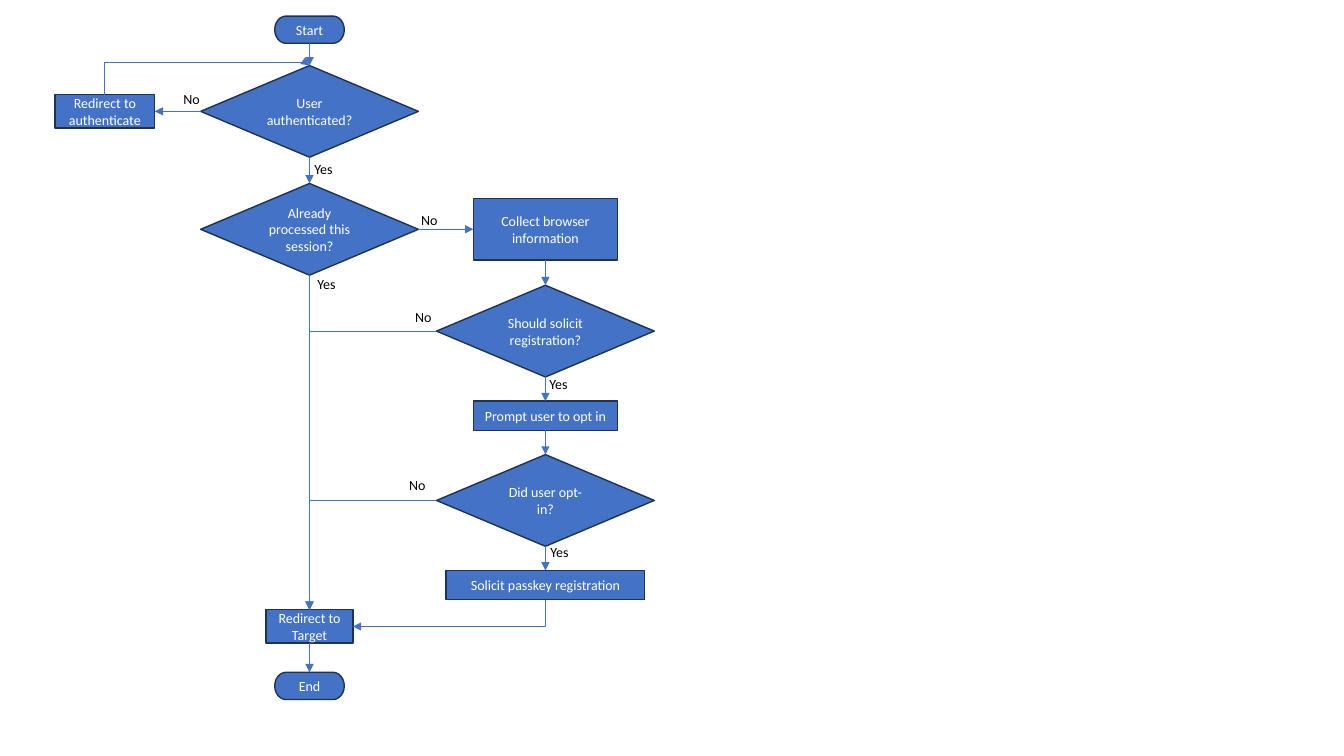
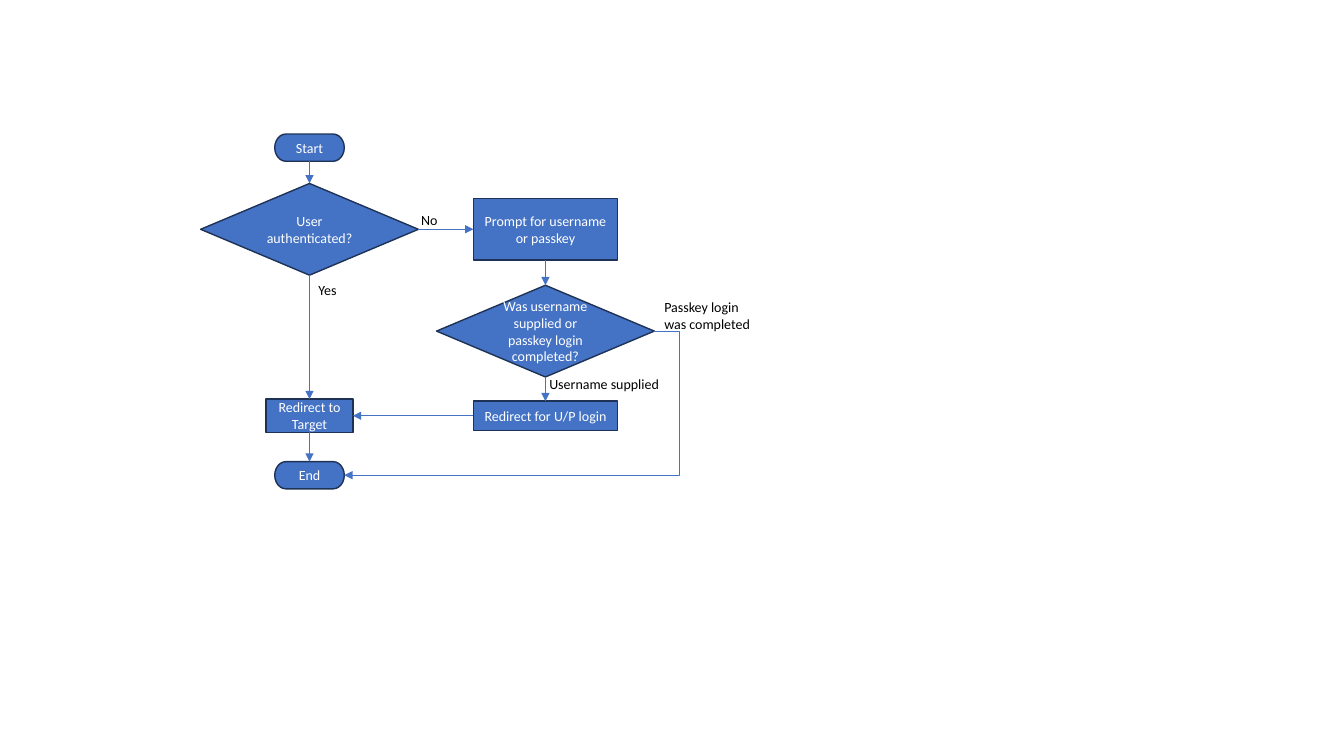
"""Build two flowcharts of passkey registration and passkey login."""
from lxml.etree import SubElement
from pptx import Presentation
from pptx.dml.color import RGBColor
from pptx.enum.shapes import MSO_CONNECTOR, MSO_SHAPE
from pptx.enum.text import MSO_ANCHOR, MSO_AUTO_SIZE, PP_ALIGN
from pptx.oxml.ns import qn
from pptx.util import Inches, Pt

BLUE = RGBColor(0x44, 0x72, 0xC4)
NAVY = RGBColor(0x1E, 0x32, 0x56)
WHITE = RGBColor(0xFF, 0xFF, 0xFF)
BLACK = RGBColor(0x00, 0x00, 0x00)
FONT = "Calibri"

TOP, LEFT, BOTTOM, RIGHT = range(4)
SIDE, MAIN, BRANCH = 1.04, 3.07, 5.41
KINDS = {
    "pill": (MSO_SHAPE.FLOWCHART_TERMINATOR, 0.69, 0.27),
    "test": (MSO_SHAPE.DIAMOND, 2.16, 0.91),
    "login": (MSO_SHAPE.RECTANGLE, 0.99, 0.33),
    "target": (MSO_SHAPE.RECTANGLE, 0.86, 0.33),
    "tall": (MSO_SHAPE.RECTANGLE, 1.43, 0.61),
    "step": (MSO_SHAPE.RECTANGLE, 1.43, 0.29),
    "wide": (MSO_SHAPE.RECTANGLE, 1.97, 0.29),
}

CHARTS = [
    {
        "nodes": {
            "start": ("pill", "Start", MAIN, 0.16),
            "auth": ("test", "User authenticated?", MAIN, 0.65),
            "login": ("login", "Redirect to authenticate", SIDE, 0.94),
            "done": ("test", "Already processed this session?", MAIN, 1.82),
            "collect": ("tall", "Collect browser information", BRANCH, 1.97),
            "should": ("test", "Should solicit registration?", BRANCH, 2.83),
            "prompt": ("step", "Prompt user to opt in", BRANCH, 3.98),
            "opted": ("test", "Did user opt-in?", BRANCH, 4.51),
            "solicit": ("wide", "Solicit passkey registration", BRANCH, 5.66),
            "target": ("target", "Redirect to Target", MAIN, 6.05),
            "end": ("pill", "End", MAIN, 6.67),
        },
        "links": [
            ("start", BOTTOM, "auth", TOP),
            ("auth", LEFT, "login", RIGHT),
            ("login", TOP, "auth", TOP, 1.12),
            ("auth", BOTTOM, "done", TOP),
            ("done", BOTTOM, "target", TOP),
            ("done", RIGHT, "collect", LEFT),
            ("collect", BOTTOM, "should", TOP),
            ("should", LEFT, "target", TOP),
            ("should", BOTTOM, "prompt", TOP),
            ("prompt", BOTTOM, "opted", TOP),
            ("opted", LEFT, "target", TOP),
            ("opted", BOTTOM, "solicit", TOP),
            ("solicit", BOTTOM, "target", RIGHT),
            ("target", BOTTOM, "end", TOP),
        ],
        "labels": [
            ("No", 1.72, 0.85, 0.37),
            ("Yes", 3.02, 1.54, 0.39),
            ("Yes", 3.05, 2.68, 0.39),
            ("No", 4.08, 2.05, 0.37),
            ("No", 4.02, 3.01, 0.37),
            ("Yes", 5.35, 3.68, 0.39),
            ("No", 3.96, 4.68, 0.37),
            ("Yes", 5.36, 5.34, 0.39),
        ],
    },
    {
        "nodes": {
            "start": ("pill", "Start", MAIN, 1.33),
            "auth": ("test", "User authenticated?", MAIN, 1.82),
            "prompt": ("tall", "Prompt for username or passkey", BRANCH, 1.97),
            "given": ("test", "Was username supplied or passkey login completed?",
                      BRANCH, 2.83),
            "login": ("step", "Redirect for U/P login", BRANCH, 3.98),
            "target": ("target", "Redirect to Target", MAIN, 3.96),
            "end": ("pill", "End", MAIN, 4.58),
        },
        "links": [
            ("start", BOTTOM, "auth", TOP),
            ("auth", BOTTOM, "target", TOP),
            ("auth", RIGHT, "prompt", LEFT),
            ("prompt", BOTTOM, "given", TOP),
            ("given", RIGHT, "end", RIGHT, -0.08),
            ("given", BOTTOM, "login", TOP),
            ("login", LEFT, "target", RIGHT),
            ("target", BOTTOM, "end", TOP),
        ],
        "labels": [
            ("Yes", 3.06, 2.74, 0.39),
            ("No", 4.08, 2.05, 0.37),
            ("Passkey login was completed", 6.49, 2.91, 1.11, 0.44, True),
            ("Username supplied", 5.35, 3.68, 1.3),
        ],
    },
]


def write(shape, text, color=BLACK, align=PP_ALIGN.LEFT, anchor=MSO_ANCHOR.TOP,
          wrap=True, size=10):
    frame = shape.text_frame
    frame.word_wrap = wrap
    frame.vertical_anchor = anchor
    par = frame.paragraphs[0]
    par.text = text
    par.alignment = align
    par.font.name = FONT
    par.font.size = Pt(size)
    par.font.color.rgb = color


def add_node(slide, kind, text, center, top):
    preset, width, height = KINDS[kind]
    node = slide.shapes.add_shape(preset, Inches(center - width / 2), Inches(top),
                                  Inches(width), Inches(height))
    node.shadow.inherit = False
    node.fill.solid()
    node.fill.fore_color.rgb = BLUE
    node.line.color.rgb = NAVY
    node.line.width = Pt(1)
    write(node, text, color=WHITE, align=PP_ALIGN.CENTER, anchor=MSO_ANCHOR.MIDDLE)
    return node


def add_label(slide, text, left, top, width, height=0.27, wrap=False):
    box = slide.shapes.add_textbox(Inches(left), Inches(top), Inches(width), Inches(height))
    write(box, text, wrap=wrap)
    box.text_frame.auto_size = MSO_AUTO_SIZE.SHAPE_TO_FIT_TEXT


def find_site(node, site):
    mid_x, mid_y = node.left + node.width // 2, node.top + node.height // 2
    return {TOP: (mid_x, node.top), LEFT: (node.left, mid_y),
            BOTTOM: (mid_x, node.top + node.height),
            RIGHT: (node.left + node.width, mid_y)}[site]


def add_link(slide, source, exit_site, goal, entry, bend=None):
    x1, y1 = find_site(source, exit_site)
    x2, y2 = find_site(goal, entry)
    corner = exit_site % 2 != entry % 2
    straight = not corner and bend is None
    style = MSO_CONNECTOR.STRAIGHT if straight else MSO_CONNECTOR.ELBOW
    link = slide.shapes.add_connector(style, x1, y1, x2, y2)
    link.begin_connect(source, exit_site)
    link.end_connect(goal, entry)
    link.line.color.rgb = BLUE
    link.line.width = Pt(0.5)
    props = link._element.spPr
    SubElement(props.find(qn("a:ln")), qn("a:tailEnd"), type="triangle")
    SubElement(props, qn("a:effectLst"))
    if straight:
        return

    width, height = abs(x2 - x1), abs(y2 - y1)
    flip_h, flip_v = x2 < x1, y2 < y1
    turned = exit_site in (TOP, BOTTOM)
    if turned:
        width, height = height, width
        flip_h, flip_v = y2 < y1, x2 > x1
    link.left, link.top = (x1 + x2 - width) // 2, (y1 + y2 - height) // 2
    link.width, link.height = width, height
    frame = props.find(qn("a:xfrm"))
    frame.set("rot", str(90 * 60000 if turned else 0))
    frame.set("flipH", str(int(flip_h)))
    frame.set("flipV", str(int(flip_v)))
    shape = props.find(qn("a:prstGeom"))
    if corner:
        shape.set("prst", "bentConnector2")
    else:
        SubElement(shape.find(qn("a:avLst")), qn("a:gd"), name="adj1",
                   fmla=f"val {round(bend * 100000)}")


def main():
    deck = Presentation()
    deck.slide_width, deck.slide_height = Inches(13.33), Inches(7.5)
    for chart in CHARTS:
        slide = deck.slides.add_slide(deck.slide_layouts[6])
        nodes = {name: add_node(slide, *node) for name, node in chart["nodes"].items()}
        for source, exit_site, goal, entry, *bend in chart["links"]:
            add_link(slide, nodes[source], exit_site, nodes[goal], entry, *bend)
        for label in chart["labels"]:
            add_label(slide, *label)
    deck.save("out.pptx")


if __name__ == "__main__":
    main()
